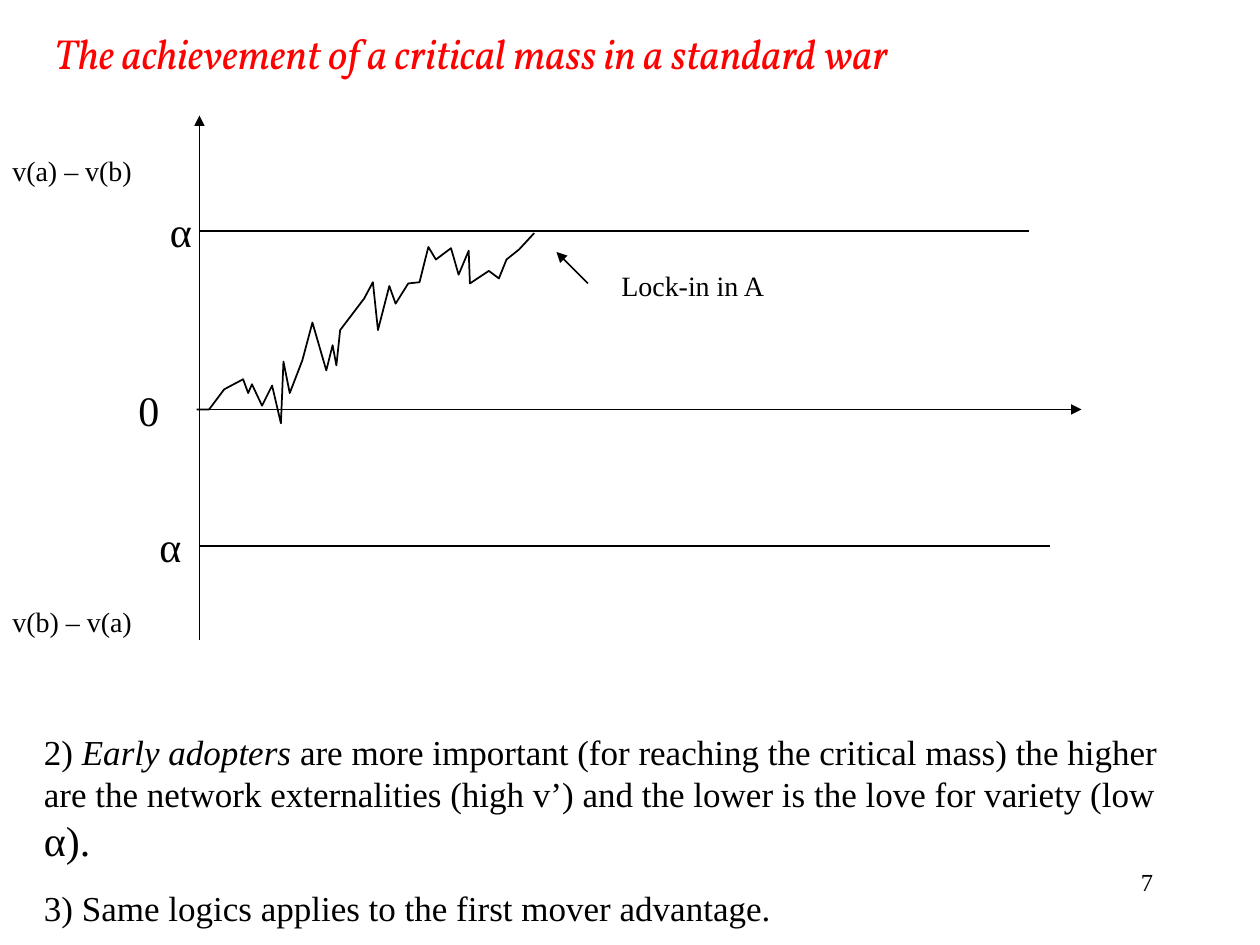
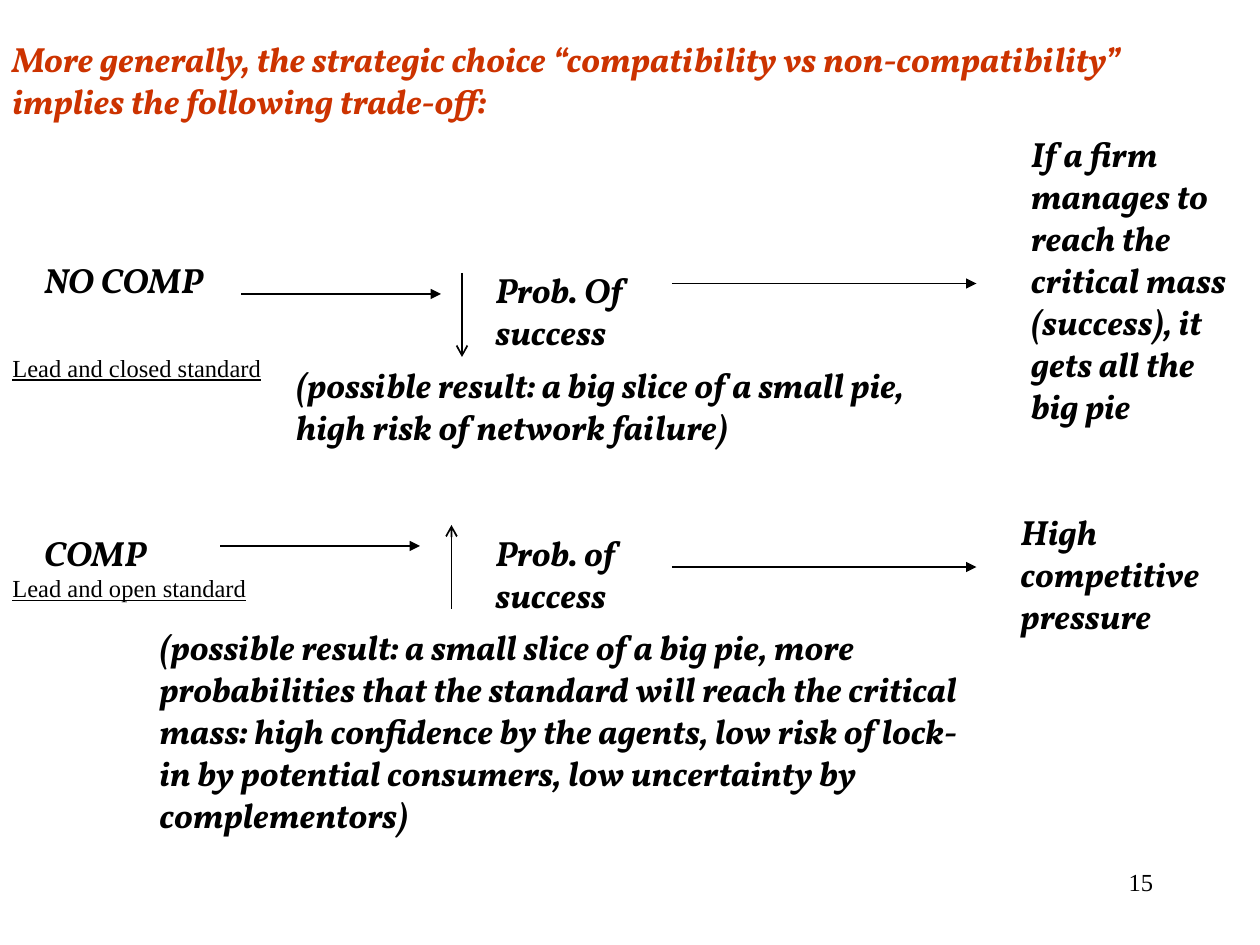
from lxml import etree
from pptx import Presentation
from pptx.dml.color import RGBColor
from pptx.enum.shapes import MSO_CONNECTOR
from pptx.enum.text import MSO_AUTO_SIZE, PP_ALIGN
from pptx.oxml.ns import qn
from pptx.util import Cm, Pt

STRAIGHT = MSO_CONNECTOR.STRAIGHT
GROW = MSO_AUTO_SIZE.SHAPE_TO_FIT_TEXT
LEFT, RIGHT = PP_ALIGN.LEFT, PP_ALIGN.RIGHT

SERIF, DISPLAY = "Times New Roman", "Vollkorn"
BLACK, RED, RUST = "000000", "FF0000", "CC3300"
BOLD_ITALIC = {"font": DISPLAY, "size": 20, "bold": True, "italic": True}

# Turning points of the random walk towards lock-in, in hundredths of an inch
WALK = [
    (156, 325), (166, 325), (178, 309), (193, 301), (197, 312), (200, 305), (208, 322),
    (216, 306), (223, 336), (225, 287), (230, 312), (240, 286), (248, 256), (259, 294),
    (264, 274), (267, 290), (270, 262), (289, 237), (296, 224), (300, 262), (309, 227),
    (314, 241), (324, 225), (333, 224), (340, 196), (346, 206), (358, 197), (364, 218),
    (372, 199), (373, 225), (388, 215), (396, 221), (402, 206), (412, 198), (424, 185),
]


def grid(units):
    """The slide is a grid of 120 by 90 units."""
    return Cm(units * 25.4 / 120)


def color(hex_code):
    return RGBColor.from_string(hex_code)


def add_text(slide, box, *paragraphs, font=SERIF, size=20, ink=BLACK, bold=False,
             italic=False, underline=False, align=LEFT, gap=12, grow=True):
    """Each paragraph is a string or a list of (string, format changes)."""
    frame = slide.shapes.add_textbox(*map(grid, box)).text_frame
    frame.word_wrap = True
    if grow:
        frame.auto_size = GROW
    for index, content in enumerate(paragraphs):
        paragraph = frame.add_paragraph() if index else frame.paragraphs[0]
        paragraph.alignment = align
        paragraph.space_before = Pt(gap if index else 0)
        runs = [(content, {})] if isinstance(content, str) else content
        for words, changes in runs:
            run = paragraph.add_run()
            run.text = words
            run.font.name = font
            run.font.size = Pt(changes.get("size", size))
            run.font.bold = bold
            run.font.italic = changes.get("italic", italic)
            run.font.underline = underline
            run.font.color.rgb = color(ink)


def add_line(slide, x1, y1, x2, y2, width=1, arrow=None):
    line = slide.shapes.add_connector(STRAIGHT, *map(grid, (x1, y1, x2, y2)))
    line.line.color.rgb = color(BLACK)
    line.line.width = Pt(width)
    properties = line.element.spPr
    if arrow:
        etree.SubElement(properties.find(qn("a:ln")), qn("a:tailEnd"), type=arrow)
    etree.SubElement(properties, qn("a:effectLst"))


def add_walk(slide):
    builder = slide.shapes.build_freeform(*WALK[0], scale=Cm(2.54) / 100)
    builder.add_line_segments(WALK[1:], close=False)
    walk = builder.convert_to_shape()
    walk.shadow.inherit = False
    walk.fill.background()
    walk.line.color.rgb = color(BLACK)
    walk.line.width = Pt(1)


def new_slide(deck, number):
    slide = deck.slides.add_slide(deck.slide_layouts[6])
    add_text(slide, (86, 82, 25, 6), number, size=14, align=RIGHT, grow=False)
    return slide


def build_critical_mass(deck):
    slide = new_slide(deck, "7")
    add_text(slide, (4, 2, 112, 6), "The achievement of a critical mass in a standard war",
             font=DISPLAY, size=24, ink=RED, italic=True)

    # Axes and the two lock-in thresholds
    origin_x, origin_y = 19, 39
    add_line(slide, origin_x, 61, origin_x, 11, width=0.75, arrow="triangle")
    add_line(slide, origin_x, origin_y, 103, origin_y, width=0.75, arrow="triangle")
    for threshold, end in ((22, 98), (52, 100)):
        add_line(slide, origin_x, threshold, end, threshold)
    add_walk(slide)

    # Axis labels
    for left, top, label in ((12, 36, "0"), (14, 49, "α"), (15, 19, "α")):
        add_text(slide, (left, top, 9, 6), label, size=24)
    for top, label in ((14, "v(a) – v(b)"), (57, "v(b) – v(a)")):
        add_text(slide, (0, top, 20, 4.4), label, size=16)

    # Lock-in point
    add_text(slide, (58, 25, 25, 4.4), "Lock-in in A", size=16)
    add_line(slide, 56, 27, 53, 24, arrow="triangle")

    # Conclusions
    add_text(slide, (3, 69, 113, 16.2),
             [("2) ", {}), ("Early adopters ", {"italic": True}),
              ("are more important (for reaching the critical mass) the higher are the "
               "network externalities (high v’) and the lower is the love for variety (low ", {}),
              ("α).", {"size": 24})],
             "3) Same logics applies to the first mover advantage.")


def build_trade_off(deck):
    slide = new_slide(deck, "15")
    add_text(slide, (0, 3, 112, 9.1),
             "More generally, the strategic choice “compatibility vs non-compatibility” "
             "implies the following trade-off:", ink=RUST, **BOLD_ITALIC)

    # Strategies, their success and their outcomes
    for box, words in (
        ((3, 24, 19, 5.1), "NO COMP"),
        ((46, 25, 19, 9.1), "Prob. Of success"),
        ((27, 34, 63, 9.1),
         "(possible result: a big slice of a small pie, high risk of network failure)"),
        ((97, 12, 23, 29.1),
         "If a firm manages to reach the critical mass (success), it gets all the big pie"),
        ((3, 50, 16, 5.1), "COMP"),
        ((46, 50, 19, 9.1), "Prob. of success"),
        ((14, 59, 79, 21.1),
         "(possible result: a small slice of a big pie, more probabilities that the standard "
         "will reach the critical mass: high confidence by the agents, low risk of lock-in by "
         "potential consumers, low uncertainty by complementors)"),
        ((96, 48, 21, 13.1), "High competitive pressure"),
    ):
        add_text(slide, box, words, **BOLD_ITALIC)

    for top, standard in ((33, "Lead and closed standard"), (54, "Lead and open standard")):
        add_text(slide, (0, top, 30, 4), standard, size=14, underline=True)

    # Arrows from strategy to success and from success to outcome
    for left, top, length in ((23, 28, 19), (64, 27, 29), (21, 52, 19), (64, 54, 29)):
        add_line(slide, left, top, left + length, top, arrow="triangle")

    # Probability falls, then rises
    for left, start, end in ((44, 26, 34), (43, 58, 50)):
        add_line(slide, left, start, left, end, arrow="arrow")


def main():
    deck = Presentation()
    deck.slide_width, deck.slide_height = grid(120), grid(90)
    build_critical_mass(deck)
    build_trade_off(deck)
    deck.save("out.pptx")


if __name__ == "__main__":
    main()
